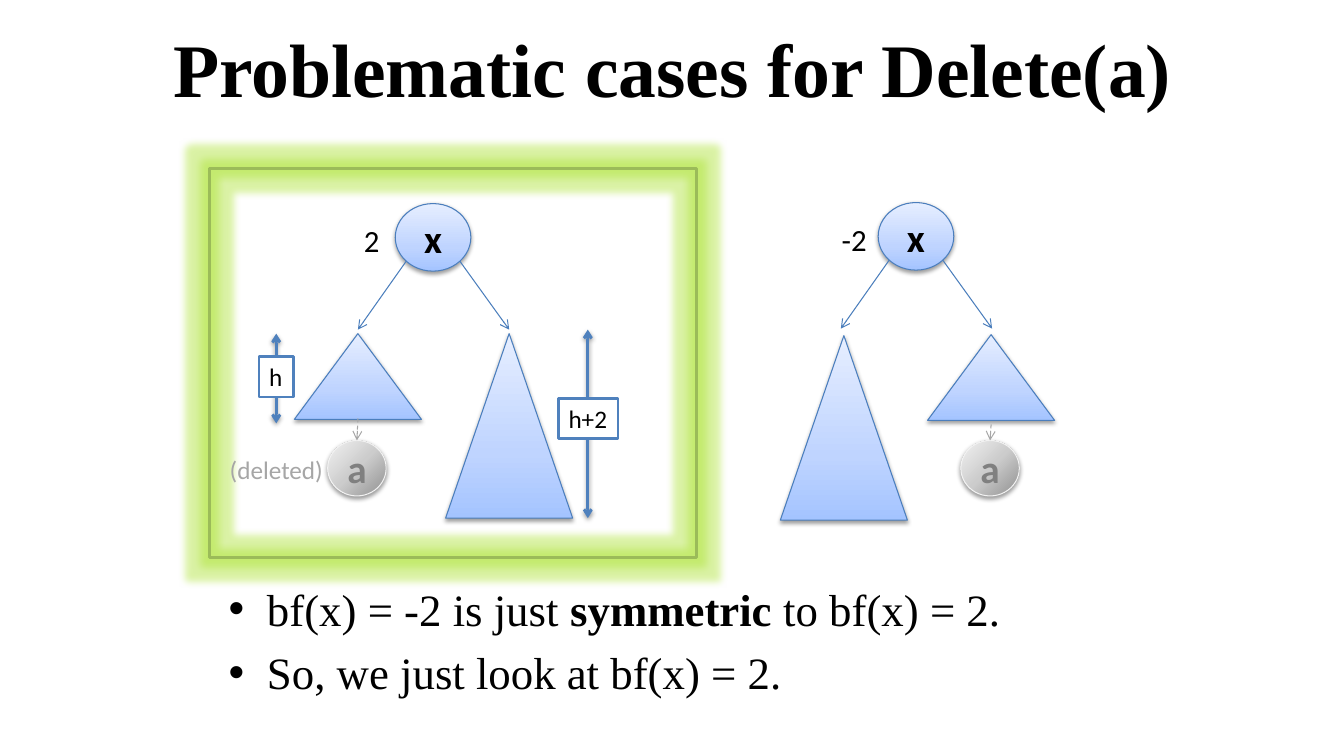
from lxml import etree
from pptx import Presentation
from pptx import util as u
from pptx.dml.color import RGBColor
from pptx.enum import dml, shapes, text
from pptx.oxml import ns

PX = 9144  # 100 px to the inch
SERIF, SANS = "Times New Roman", "Calibri"
BLACK, WHITE, GREY = "000000", "FFFFFF", "A6A6A6"
EDGE, MEASURE, GREEN, GLOW = "4B7EBC", "4F81BD", "9BBB59", "A4E01E"
BLUE_FADE = ([(0, "A4C4FF"), (35, "BFD4FF"), (100, "E6EEFF")], 270)
GREY_FADE = ([(0, "909090"), (50, "CCCCCC"), (100, "F2F2F2")], 225)


def px(value):
    return u.Emu(value * PX)


def colour(value):
    return RGBColor.from_string(value)


def sub(parent, tag, **attributes):
    child = etree.SubElement(parent, ns.qn(tag))
    for name, value in attributes.items():
        child.set(name, str(value))
    return child


def add_effect(props, tag, value, alpha, **attributes):
    effects = props.find(ns.qn("a:effectLst"))
    if effects is None:
        effects = sub(props, "a:effectLst")
    shade = sub(sub(effects, tag, **attributes), "a:srgbClr", val=value)
    sub(shade, "a:alpha", val=alpha * 1000)


def add_shadow(props):
    add_effect(props, "a:outerShdw", BLACK, 38, blurRad=40000, dist=20000,
               dir=5400000, rotWithShape=0)


def set_gradient(shape, fade):
    stops, angle = fade
    shape.fill.background()
    props = shape.fill._xPr
    gradient = etree.Element(ns.qn("a:gradFill"), rotWithShape="1")
    stop_list = sub(gradient, "a:gsLst")
    for position, value in stops:
        sub(sub(stop_list, "a:gs", pos=position * 1000), "a:srgbClr", val=value)
    sub(gradient, "a:lin", ang=angle * 60000, scaled=0)
    props.replace(props.find(ns.qn("a:noFill")), gradient)


def add_span(para, words, size, font=SANS, value=BLACK, bold=False):
    span = para.add_run()
    span.text = words
    span.font.size = u.Pt(size)
    span.font.name = font
    span.font.bold = bold
    span.font.color.rgb = colour(value)


def add_shape(page, kind, place, line, width=0.75):
    shape = page.shapes.add_shape(kind, *map(px, place))
    shape.shadow.inherit = False
    shape.fill.background()
    shape.line.color.rgb = colour(line)
    shape.line.width = u.Pt(width)
    return shape


def add_solid(page, kind, place, fade=BLUE_FADE, line=EDGE):
    shape = add_shape(page, kind, place, line)
    set_gradient(shape, fade)
    add_shadow(shape._element.spPr)
    return shape


def add_node(page, place, letter, value=BLACK, **look):
    node = add_solid(page, shapes.MSO_SHAPE.OVAL, place, **look)
    frame = node.text_frame
    frame.margin_left = frame.margin_right = 0
    frame.margin_top = frame.margin_bottom = 0
    frame.vertical_anchor = text.MSO_ANCHOR.MIDDLE
    frame.paragraphs[0].alignment = text.PP_ALIGN.CENTER
    add_span(frame.paragraphs[0], letter, 28, value=value, bold=True)


def add_text(page, place, words, size, value=BLACK, font=SANS, bold=False):
    box = page.shapes.add_textbox(*map(px, place))
    box.text_frame.word_wrap = True
    para = box.text_frame.paragraphs[0]
    add_span(para, words, size, font, value, bold)
    return box


def add_arrow(page, start, end, value=EDGE, width=0.75, dashed=False, double=False):
    arrow = page.shapes.add_connector(
        shapes.MSO_CONNECTOR.STRAIGHT, *map(px, start + end))
    arrow.line.color.rgb = colour(value)
    arrow.line.width = u.Pt(width)
    if dashed:
        arrow.line.dash_style = dml.MSO_LINE.DASH
    line = arrow.line._get_or_add_ln()
    if double:
        sub(line, "a:headEnd", type="arrow")
    sub(line, "a:tailEnd", type="arrow")
    sub(arrow._element.spPr, "a:effectLst")
    return arrow


def add_height(page, x, top, bottom, place, words):
    arrow = add_arrow(page, (x, top), (x, bottom), MEASURE, 2, double=True)
    add_shadow(arrow._element.spPr)
    label = add_shape(page, shapes.MSO_SHAPE.RECTANGLE, place, MEASURE, 2)
    label.fill.solid()
    label.fill.fore_color.rgb = colour(WHITE)
    frame = label.text_frame
    frame.word_wrap = False
    frame.vertical_anchor = text.MSO_ANCHOR.TOP
    frame.paragraphs[0].alignment = text.PP_ALIGN.LEFT
    add_span(frame.paragraphs[0], words, 18)


def add_tree(page, root, balance, balance_x, tall, short, deleted_edge_top):
    x, y = root
    triangle = shapes.MSO_SHAPE.ISOSCELES_TRIANGLE
    add_node(page, (x, y, 75, 67), "x")
    add_solid(page, triangle, tall + (126, 183))
    add_solid(page, triangle, short + (126, 85))
    add_text(page, (balance_x, y + 13, 50, 47), balance, 22)
    add_arrow(page, (x + 11, y + 57), (x - 37, y + 125))
    add_arrow(page, (x + 64, y + 57), (x + 113, y + 125))
    # Removed leaf under the short subtree
    middle = short[0] + 63
    add_node(page, (short[0] + 33, 437, 58, 55), "a", "808080",
             fade=GREY_FADE, line="F2F2F2")
    add_arrow(page, (middle, deleted_edge_top), (middle - 1, 437), GREY, dashed=True)


def add_bullets(page, place, items):
    box = page.shapes.add_textbox(*map(px, place))
    frame = box.text_frame
    frame.word_wrap = True
    for index, spans in enumerate(items):
        para = frame.add_paragraph() if index else frame.paragraphs[0]
        props = para._p.get_or_add_pPr()
        props.set("marL", str(px(38)))
        props.set("indent", str(px(-38)))
        sub(props, "a:buFont", typeface="Arial")
        sub(props, "a:buChar", char="•")
        if index:
            para.space_before = u.Pt(7)
        for words, bold in spans:
            add_span(para, words, 32, SERIF, bold=bold)


def main():
    deck = Presentation()
    deck.slide_width, deck.slide_height = px(1333), px(750)
    page = deck.slides.add_slide(deck.slide_layouts[6])

    # Title
    title = add_text(page, (67, 15, 1200, 103), "Problematic cases for Delete(a)",
                     54, font=SERIF, bold=True)
    title.text_frame.vertical_anchor = text.MSO_ANCHOR.MIDDLE
    title.text_frame.paragraphs[0].alignment = text.PP_ALIGN.CENTER

    # Conclusions
    add_bullets(page, (217, 572, 900, 160), [
        [("bf(x) = -2 is just ", False), ("symmetric", True), (" to bf(x) = 2.", False)],
        [("So, we just look at bf(x) = 2.", False)],
    ])

    # Glowing frame around the case that is studied
    frame = add_shape(page, shapes.MSO_SHAPE.RECTANGLE, (208, 167, 483, 386), GREEN, 2)
    add_effect(frame._element.spPr, "a:glow", GLOW, 40, rad=139700)

    # The two mirrored trees
    add_tree(page, (392, 202), "2", 351, (442, 331), (292, 331), 415)
    add_tree(page, (871, 201), "-2", 825, (774, 333), (920, 332), 421)

    # Heights and remark on the left tree
    add_height(page, 583, 327, 514, (554, 395, 59, 40), "h+2")
    add_height(page, 274, 331, 420, (257, 354, 34, 40), "h")
    add_text(page, (218, 446, 125, 40), "(deleted)", 18, GREY)

    deck.save("out.pptx")


if __name__ == "__main__":
    main()
